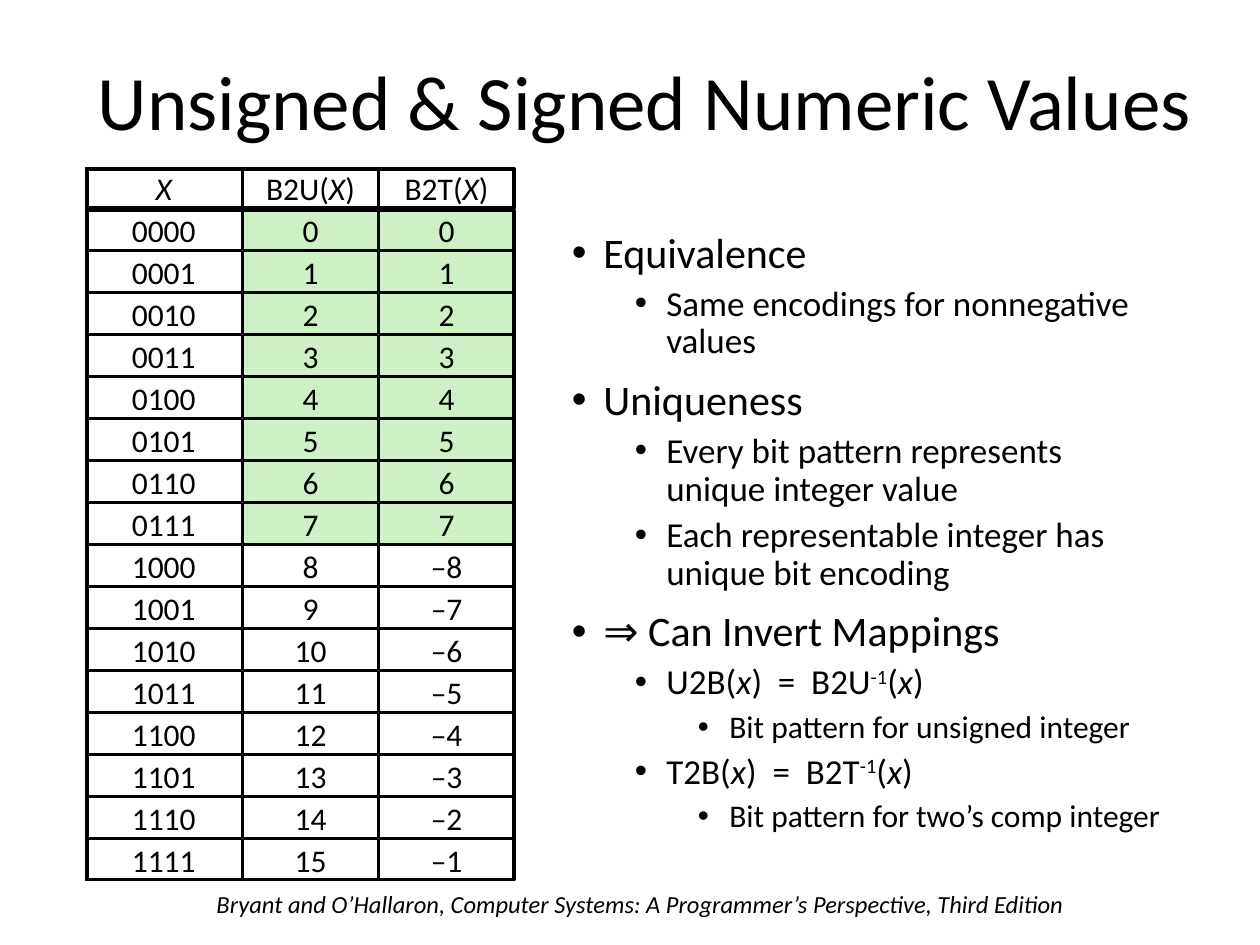
"""Build the slide on unsigned and signed numeric values."""
import pptx
import pptx.dml.color
import pptx.enum.shapes
import pptx.enum.text
import pptx.oxml
import pptx.oxml.ns
import pptx.util
from pptx.util import Inches

BLACK = pptx.dml.color.RGBColor(0x00, 0x00, 0x00)
WHITE = pptx.dml.color.RGBColor(0xFF, 0xFF, 0xFF)
GREEN = pptx.dml.color.RGBColor(0xCD, 0xF1, 0xC5)
CENTER = pptx.enum.text.PP_ALIGN.CENTER
MIDDLE = pptx.enum.text.MSO_ANCHOR.MIDDLE
RECTANGLE = pptx.enum.shapes.MSO_SHAPE.RECTANGLE
NAMESPACE = pptx.oxml.ns.nsdecls("a")


def write(para, text, size):
    """Fill a paragraph with the pieces of text between bars."""
    for piece in text.split("|"):
        span = para.add_run()
        span.text = piece
        span.font.name = "Calibri"
        span.font.size = pptx.util.Pt(size)
        span.font.color.rgb = BLACK
        if piece in ("x", "X"):
            span.font.italic = True
        if piece == "-1":
            span.font._element.set("baseline", "30000")


def add_rectangle(group, left, top, width, height, line_width, fill=None):
    """Add a black-edged rectangle, hollow unless a fill is given."""
    box = group.shapes.add_shape(
        RECTANGLE, Inches(left), Inches(top), Inches(width), Inches(height))
    box.shadow.inherit = False
    box.line.color.rgb = BLACK
    box.line.width = pptx.util.Pt(line_width)
    if fill is None:
        box.fill.background()
    else:
        box.fill.solid()
        box.fill.fore_color.rgb = fill
    return box


deck = pptx.Presentation()
deck.slide_width = Inches(10)
deck.slide_height = Inches(7.5)
page = deck.slides.add_slide(deck.slide_layouts[6])

footer = page.shapes.add_textbox(Inches(1.62), Inches(7.01), Inches(7.1), Inches(0.34))
footer.text_frame.word_wrap = True
para = footer.text_frame.paragraphs[0]
write(para, "Bryant and O’Hallaron, Computer Systems: A Programmer’s Perspective, Third Edition", 14)
para.runs[0].font.italic = True

title = page.shapes.add_textbox(Inches(0.58), Inches(0.48), Inches(9.08), Inches(0.61))
frame = title.text_frame
frame.word_wrap = False
frame.margin_left = frame.margin_right = Inches(0.07)
frame.margin_top = frame.margin_bottom = Inches(0.03)
para = frame.paragraphs[0]
para.alignment = CENTER
para.line_spacing = 0.9
write(para, "Unsigned & Signed Numeric Values", 44)

points = [
    (0, "Equivalence"),
    (1, "Same encodings for nonnegative values"),
    (0, "Uniqueness"),
    (1, "Every bit pattern represents unique integer value"),
    (1, "Each representable integer has unique bit encoding"),
    (0, "⇒ Can Invert Mappings"),
    (1, "U2B(|x|)  =  B2U|-1|(|x|)"),
    (2, "Bit pattern for unsigned integer"),
    (1, "T2B(|x|)  =  B2T|-1|(|x|)"),
    (2, "Bit pattern for two’s comp integer"),
]
body = page.shapes.add_textbox(Inches(4.44), Inches(1.79), Inches(4.88), Inches(5.19))
frame = body.text_frame
frame.word_wrap = True
for index, (level, text) in enumerate(points):
    para = frame.add_paragraph() if index else frame.paragraphs[0]
    para.level = level
    para.line_spacing = 0.9
    if index:
        para.space_before = pptx.util.Pt(5 if level else 10)
    properties = para._p.get_or_add_pPr()
    properties.set("marL", str(Inches(0.25 + 0.5 * level)))
    properties.set("indent", str(Inches(-0.25)))
    properties.append(pptx.oxml.parse_xml(f'<a:buFont {NAMESPACE} typeface="Arial"/>'))
    properties.append(pptx.oxml.parse_xml(f'<a:buChar {NAMESPACE} char="•"/>'))
    write(para, text, (24, 20, 18)[level])

rows = [("X", "B2U(|X|)", "B2T(|X|)")]
for number in range(16):
    signed = str(number) if number < 8 else f"–{16 - number}"
    rows.append((f"{number:04b}", str(number), signed))

columns = ((0.68, 1.24), (1.93, 1.07), (3.01, 1.07))
grid = page.shapes.add_group_shape()
for row, texts in enumerate(rows):
    for column, text in enumerate(texts):
        left, width = columns[column]
        fill = GREEN if column and 1 <= row <= 8 else WHITE
        cell = add_rectangle(grid, left, 1.33 + row / 3, width, 0.32, 1, fill)
        cell.text_frame.word_wrap = False
        cell.text_frame.vertical_anchor = MIDDLE
        para = cell.text_frame.paragraphs[0]
        para.alignment = CENTER
        write(para, text, 18)

for top, height in ((1.34, 0.31), (1.67, 5.31)):
    add_rectangle(grid, 0.69, top, 3.39, height, 2)

deck.save("out.pptx")
